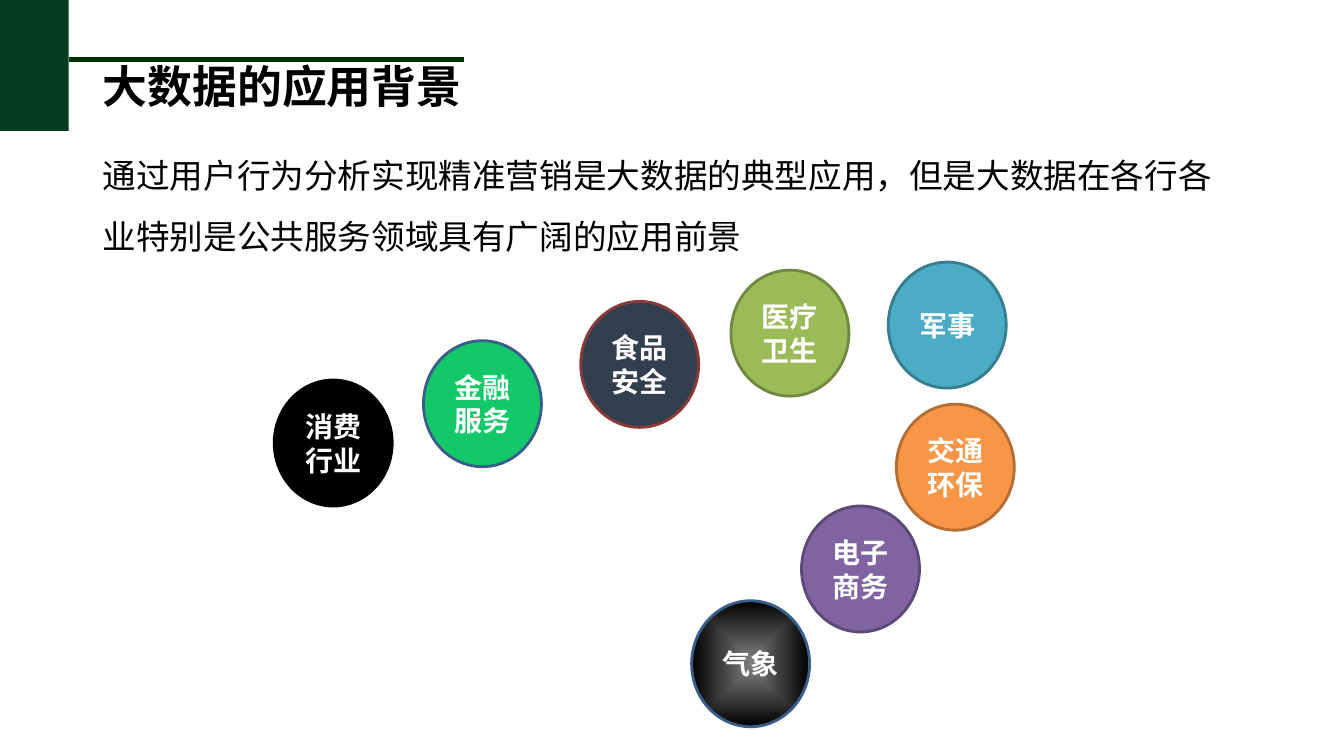
import pptx
import pptx.util
import pptx.dml.color
import pptx.enum.shapes
import pptx.enum.text
import pptx.oxml
import pptx.oxml.ns

Inches = pptx.util.Inches
Pt = pptx.util.Pt
qn = pptx.oxml.ns.qn
SHAPES = pptx.enum.shapes.MSO_SHAPE
ALIGN = pptx.enum.text.PP_ALIGN
ANCHOR = pptx.enum.text.MSO_ANCHOR

CHINESE_FONT = "Noto Sans CJK SC"
CIRCLE_WIDTH, CIRCLE_HEIGHT = 1.17, 1.25

# Industry, left, top, fill, outline; a pair of fills is a gradient from the centre
INDUSTRIES = [
    ("消费行业", 2.72, 3.77, "000000", "000000"),
    ("金融服务", 4.2, 3.38, "12C869", "395E8A"),
    ("食品安全", 5.76, 2.99, "323F4F", "8C3A38"),
    ("医疗卫生", 7.25, 2.68, "9BBB59", "718841"),
    ("军事", 8.81, 2.6, "4BACC6", "367D90"),
    ("交通环保", 8.89, 4.01, "F79646", "B46D33"),
    ("电子商务", 7.95, 5.02, "8064A2", "5D4976"),
    ("气象", 6.86, 5.96, ("7C7C7C", "000000"), "395E8A"),
]


def rgb(value):
    return pptx.dml.color.RGBColor.from_string(value)


def place(shape, left, top, width, height):
    shape.left, shape.top = Inches(left), Inches(top)
    shape.width, shape.height = Inches(width), Inches(height)


def write_text(shape, text, size, font="Calibri", color="000000", bold=False,
               align=ALIGN.LEFT, anchor=ANCHOR.TOP, line_spacing=1.0):
    frame = shape.text_frame
    frame.word_wrap = True
    frame.vertical_anchor = anchor
    paragraph = frame.paragraphs[0]
    paragraph.alignment = align
    paragraph.line_spacing = line_spacing
    run = paragraph.add_run()
    run.text = text
    run.font.size = Pt(size)
    run.font.bold = bold
    run.font.color.rgb = rgb(color)
    run.font.name = font
    # Chinese glyphs take the East Asian typeface
    properties = run._r.get_or_add_rPr()
    properties.set("lang", "zh-CN")
    east_asian = properties.makeelement(qn("a:ea"), {"typeface": CHINESE_FONT})
    properties.find(qn("a:latin")).addnext(east_asian)


def fill_from_center(shape, inner, outer):
    shape.fill.gradient()
    for stop, color in zip(shape.fill.gradient_stops, (inner, outer)):
        stop.color.rgb = rgb(color)
    gradient = shape._element.spPr.find(qn("a:gradFill"))
    gradient.replace(gradient.find(qn("a:lin")), pptx.oxml.parse_xml(
        '<a:path xmlns:a="http://schemas.openxmlformats.org/drawingml/2006/main" path="rect">'
        '<a:fillToRect l="50000" t="50000" r="50000" b="50000"/></a:path>'))


def add_filled_shape(slide, kind, left, top, width, height, fill, outline=None):
    shape = slide.shapes.add_shape(
        kind, Inches(left), Inches(top), Inches(width), Inches(height))
    shape.shadow.inherit = False
    if isinstance(fill, tuple):
        fill_from_center(shape, *fill)
    else:
        shape.fill.solid()
        shape.fill.fore_color.rgb = rgb(fill)
    if outline:
        shape.line.color.rgb = rgb(outline)
        shape.line.width = Pt(2)
    else:
        shape.line.fill.background()
    return shape


def add_rule(slide, left, right, top, color, width):
    rule = slide.shapes.add_connector(
        pptx.enum.shapes.MSO_CONNECTOR.STRAIGHT,
        Inches(left), Inches(top), Inches(right), Inches(top))
    rule.line.color.rgb = rgb(color)
    rule.line.width = Pt(width)
    properties = rule._element.spPr
    properties.append(properties.makeelement(qn("a:effectLst"), {}))


def add_industry(slide, name, left, top, fill, outline):
    circle = add_filled_shape(slide, SHAPES.OVAL, left, top,
                              CIRCLE_WIDTH, CIRCLE_HEIGHT, fill, outline)
    write_text(circle, name, 20, font=CHINESE_FONT, color="FFFFFF", bold=True,
               align=ALIGN.CENTER, anchor=ANCHOR.MIDDLE)


def main():
    presentation = pptx.Presentation()
    presentation.slide_width = Inches(13.33)
    presentation.slide_height = Inches(7.5)
    slide = presentation.slides.add_slide(presentation.slide_layouts[5])

    # Corner block and rule
    add_filled_shape(slide, SHAPES.RECTANGLE, 0, 0, 0.68, 1.3, "053D20")
    add_rule(slide, 0.68, 4.6, 0.59, "003300", 3)

    # Title
    title = slide.shapes.title
    place(title, 0.92, 0.59, 4.17, 0.9)
    write_text(title, "大数据的应用背景", 32, bold=True, line_spacing=0.9)

    # Introduction
    introduction = slide.shapes.add_textbox(
        Inches(0.92), Inches(1.29), Inches(11.36), Inches(1.31))
    write_text(introduction,
               "通过用户行为分析实现精准营销是大数据的典型应用，"
               "但是大数据在各行各业特别是公共服务领域具有广阔的应用前景",
               24, line_spacing=1.5)

    # Industry circles
    for industry in INDUSTRIES:
        add_industry(slide, *industry)

    presentation.save("out.pptx")


if __name__ == "__main__":
    main()
